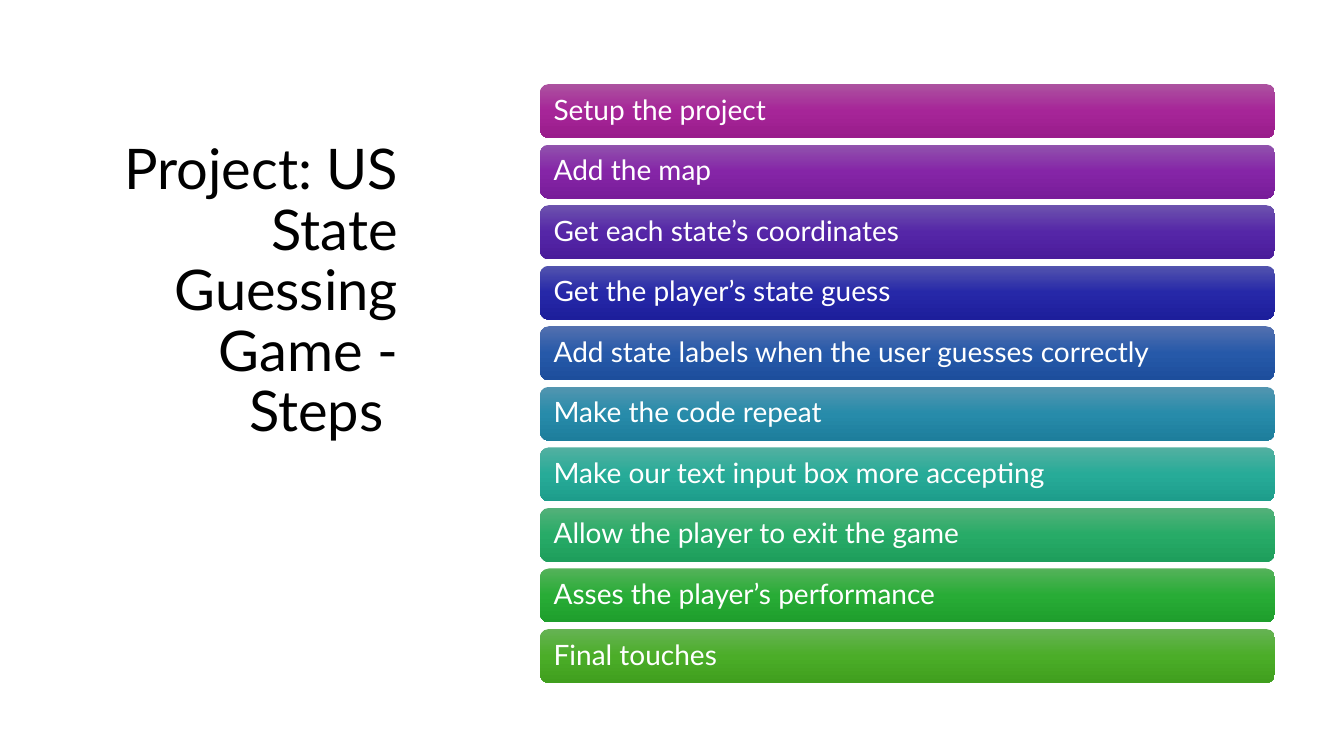
import copy

import pptx
import pptx.dml.color
import pptx.enum.shapes
import pptx.enum.text
import pptx.oxml.ns
import pptx.util

PX = 914400 / 100.8  # EMU per px

THEME = {
    "font": "Lato",
    "title_size": 40,
    "step_size": 20,
    "title_color": "000000",
    "step_color": "FFFFFF",
}

# Each step with its gradient from top to bottom
STEPS = [
    ("Setup the project", ("AC53A0", "A62598", "991C8B")),
    ("Add the map", ("9153AD", "8525A7", "781C99")),
    ("Get each state’s coordinates", ("6D53AE", "5526A7", "4A1C9A")),
    ("Get the player’s state guess", ("5354AE", "2628A8", "1D1E9B")),
    ("Add state labels when the user guesses correctly", ("5370AF", "2659A9", "1D4E9C")),
    ("Make the code repeat", ("5396B0", "278BAA", "1D7E9C")),
    ("Make our text input box more accepting", ("53B0A1", "27AB98", "1D9D8B")),
    ("Allow the player to exit the game", ("54B17A", "27AB67", "1E9E5C")),
    ("Asses the player’s performance", ("54B25A", "28AC36", "1E9E2C")),
    ("Final touches", ("66B354", "4BAD28", "409F1E")),
]
FIRST_TOP, LAST_TOP = 84, 629
STEP_LEFT, STEP_WIDTH, STEP_HEIGHT, STEP_INSET = 540, 735, 54, 11


def px(length):
    return pptx.util.Emu(round(length * PX))


def write(frame, text, size, color, align, anchor):
    frame.word_wrap = True
    frame.auto_size = pptx.enum.text.MSO_AUTO_SIZE.NONE
    frame.vertical_anchor = anchor
    paragraph = frame.paragraphs[0]
    paragraph.alignment = align
    paragraph.line_spacing = 0.9
    run = paragraph.add_run()
    run.text = text
    run.font.name = THEME["font"]
    run.font.size = pptx.util.Pt(size)
    run.font.color.rgb = pptx.dml.color.RGBColor.from_string(color)


deck = pptx.Presentation()
deck.slide_width, deck.slide_height = px(1344), px(756)
slide = deck.slides.add_slide(deck.slide_layouts[5])

# Title
title = slide.shapes.title
title.left, title.top, title.width, title.height = px(64), px(185), px(344), px(264)
write(title.text_frame, "Project: US State Guessing Game - Steps ",
      THEME["title_size"], THEME["title_color"],
      pptx.enum.text.PP_ALIGN.RIGHT, pptx.enum.text.MSO_ANCHOR.BOTTOM)

# Evenly spaced step bars
pitch = (LAST_TOP - FIRST_TOP) / (len(STEPS) - 1)
for index, (step, gradient) in enumerate(STEPS):
    bar = slide.shapes.add_shape(
        pptx.enum.shapes.MSO_SHAPE.ROUNDED_RECTANGLE,
        px(STEP_LEFT), px(FIRST_TOP + index * pitch), px(STEP_WIDTH), px(STEP_HEIGHT))
    bar.shadow.inherit = False
    bar.line.fill.background()

    # Three-stop gradient: the default has two stops, so add one
    bar.fill.gradient()
    bar.fill.gradient_angle = 270
    stops = bar._element.spPr.find(".//" + pptx.oxml.ns.qn("a:gsLst"))
    stops.append(copy.deepcopy(stops[-1]))
    for stop, color, position in zip(bar.fill.gradient_stops, gradient, (0, 0.5, 1)):
        stop.color.rgb = pptx.dml.color.RGBColor.from_string(color)
        stop.position = position

    bar.text_frame.margin_left = bar.text_frame.margin_right = px(STEP_INSET)
    write(bar.text_frame, step, THEME["step_size"], THEME["step_color"],
          pptx.enum.text.PP_ALIGN.LEFT, pptx.enum.text.MSO_ANCHOR.MIDDLE)

deck.save("out.pptx")
